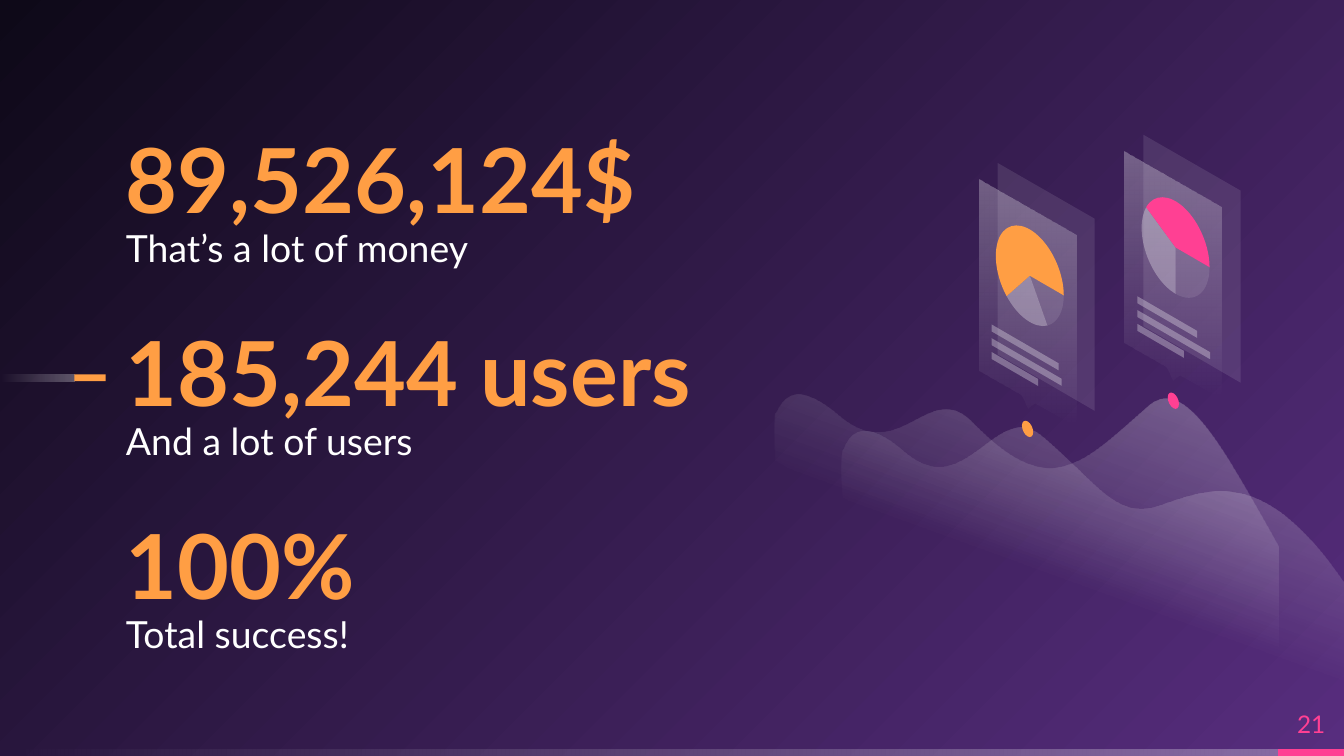
"""Build a slide of three big figures beside isometric chart cards over hills."""
import math

import pptx
import pptx.dml.color
import pptx.enum.shapes
import pptx.enum.text
import pptx.oxml
import pptx.oxml.ns
import pptx.util

Pt = pptx.util.Pt
FONT = "Lato"
COLORS = {
    "white": "FFFFFF",
    "orange": "FF9E44",
    "pink": "FF4093",
    "purple": "572D7E",
    "night": "0E0918",
}
SLOPE = 0.58
SPACE = pptx.oxml.ns.nsdecls("a")
FADE = [(0, "white", 30), (100, "white", 0)]
MIST = [(0, "white", 30), (47, "white", 0), (100, "white", 0)]
FIGURES = [
    ("89,526,124$", "That’s a lot of money"),
    ("185,244 users", "And a lot of users"),
    ("100%", "Total success!"),
]
HILLS = [
    [
        (449.3, 222.5),
        (421.2, 198.7, 417.6, 221, 415.4, 221.8),
        (415.4, 221.8, 414.7, 227.5, 415.4, 247),
        (684.7, 402.5),
        (684.7, 293),
        (653.8, 238.3, 633.6, 200.2, 614.2, 218.2),
        (579.6, 248.4, 562.3, 269.3, 521.3, 226.8),
        (497.5, 201.6, 482.4, 251.3, 449.3, 222.5),
    ],
    [
        (484.6, 241.9),
        (456.5, 217.4, 452.9, 240.5, 451.4, 241.2),
        (451.4, 241.2, 450, 246.2, 451.4, 266.4),
        (720, 422),
        (720, 312.5),
        (676.8, 249.1, 648, 261.4, 622.8, 270),
        (598.3, 279.4, 589.7, 260.6, 558.7, 234),
        (533.5, 211.7, 517.7, 270.7, 484.6, 241.9),
    ],
]
CARDS = [
    {"at": (602.6, 81.2), "hue": "pink", "cuts": (0, 90, 210, 360), "bars": (32, 39, 25)},
    {"at": (524.5, 96.3), "hue": "orange", "cuts": (0, 59, 133, 360), "bars": (36, 37.5, 25)},
]
BACK = [(10, -9), (62, 20.9), (62, 123.8), (10, 93.6)]
FRONT = [(52, 30), (0, 0), (0, 102.4), (22.5, 115.2), (26, 122.5), (29.5, 119.5), (52, 132.5)]


def color(name):
    """Return the named colour."""
    return pptx.dml.color.RGBColor.from_string(COLORS[name])


def swap_fill(parent, stops, way):
    """Replace the solid fill in parent with a gradient of the given stops."""
    marks = "".join(
        f'<a:gs pos="{pos * 1000}"><a:srgbClr val="{COLORS[name]}">'
        f'<a:alpha val="{alpha * 1000}"/></a:srgbClr></a:gs>'
        for pos, name, alpha in stops
    )
    grad = pptx.oxml.parse_xml(
        f'<a:gradFill {SPACE} rotWithShape="1"><a:gsLst>{marks}</a:gsLst>{way}</a:gradFill>')
    solid = parent.find(pptx.oxml.ns.qn("a:solidFill"))
    parent.replace(solid, grad)


def paint(shape, name="white", alpha=100, stops=None, angle=0):
    """Fill a shape with a colour or a linear gradient, without line or shadow."""
    shape.shadow.inherit = False
    shape.line.fill.background()
    shape.fill.solid()
    shape.fill.fore_color.rgb = color(name)
    if stops:
        swap_fill(shape._element.spPr, stops, f'<a:lin ang="{angle * 60000}" scaled="0"/>')
    elif alpha < 100:
        tint = shape._element.spPr.find(".//" + pptx.oxml.ns.qn("a:srgbClr"))
        tint.append(pptx.oxml.parse_xml(f'<a:alpha {SPACE} val="{alpha * 1000}"/>'))


def add_bar(slide, left, top, width, height, **look):
    """Add a painted rectangle."""
    kind = pptx.enum.shapes.MSO_SHAPE.RECTANGLE
    paint(slide.shapes.add_shape(kind, Pt(left), Pt(top), Pt(width), Pt(height)), **look)


def add_text(slide, box, text, size, name, bold=False, middle=True,
             center=False, lead=None, after=0):
    """Add a text box holding one run."""
    frame = slide.shapes.add_textbox(*[Pt(v) for v in box]).text_frame
    frame.word_wrap = True
    frame.margin_left = frame.margin_right = frame.margin_top = frame.margin_bottom = 0
    anchor = pptx.enum.text.MSO_ANCHOR
    frame.vertical_anchor = anchor.MIDDLE if middle else anchor.TOP
    para = frame.paragraphs[0]
    align = pptx.enum.text.PP_ALIGN
    para.alignment = align.CENTER if center else align.LEFT
    para.space_after = Pt(after)
    if lead:
        para.line_spacing = lead
    run = para.add_run()
    run.text = text
    run.font.name = FONT
    run.font.size = Pt(size)
    run.font.bold = bold
    run.font.color.rgb = color(name)


def trace(parts, steps=24):
    """Turn line ends and cubic curves into points that give their extent."""
    points = [parts[0]]
    for part in parts[1:]:
        if len(part) == 2:
            points.append(part)
            continue
        knots = [points[-1], part[:2], part[2:4], part[4:]]
        for step in range(1, steps + 1):
            t = step / steps
            loads = [(1 - t) ** 3, 3 * t * (1 - t) ** 2, 3 * t * t * (1 - t), t ** 3]
            points.append(tuple(
                sum(w * k[axis] for w, k in zip(loads, knots)) for axis in (0, 1)))
    return points


def curve(shape, parts, origin):
    """Give a freeform true cubic curves within its extent."""
    marks = ""
    for index, part in enumerate(parts):
        tag = "cubicBezTo" if len(part) == 6 else "lnTo" if index else "moveTo"
        spots = "".join(
            f'<a:pt x="{Pt(origin[0] + x) - shape.left}" y="{Pt(origin[1] + y) - shape.top}"/>'
            for x, y in zip(part[::2], part[1::2])
        )
        marks += f"<a:{tag}>{spots}</a:{tag}>"
    old = shape._element.spPr.find(".//" + pptx.oxml.ns.qn("a:path"))
    old.getparent().replace(old, pptx.oxml.parse_xml(
        f'<a:path {SPACE} w="{shape.width}" h="{shape.height}">{marks}<a:close/></a:path>'))


def add_form(slide, parts, origin=(0, 0), **look):
    """Add a painted closed outline, its parts measured from origin."""
    spots = [(Pt(origin[0] + x), Pt(origin[1] + y)) for x, y in trace(parts)]
    form = slide.shapes.build_freeform(*spots[0], scale=1.0)
    form.add_line_segments(spots[1:], close=True)
    shape = form.convert_to_shape()
    curve(shape, parts, origin)
    paint(shape, **look)


def arc(x, y, wide, high, start, end):
    """Return the start and cubic curves of a sheared ellipse between two angles."""
    def place(a, b):
        """Map a point of the unit circle onto the ellipse."""
        return (x + wide * a, y + high * b + SLOPE * wide * a)

    count = math.ceil((end - start) / 90)
    turn = math.radians(end - start) / count
    pull = 4 / 3 * math.tan(turn / 4)
    first = math.radians(start)
    parts = [place(math.cos(first), math.sin(first))]
    for step in range(count):
        s, e = first + step * turn, first + (step + 1) * turn
        parts.append(
            place(math.cos(s) - pull * math.sin(s), math.sin(s) + pull * math.cos(s))
            + place(math.cos(e) + pull * math.sin(e), math.sin(e) - pull * math.cos(e))
            + place(math.cos(e), math.sin(e))
        )
    return parts


def add_card(slide, at, hue, cuts, bars):
    """Add a marker dot and its card with panels, pie and text bars."""
    add_form(slide, arc(26, 133.5, 3, 4, 0, 360), at, name=hue)
    add_form(slide, BACK, at, alpha=10)
    add_form(slide, FRONT, at, stops=FADE, angle=90)
    looks = [{"alpha": 10}, {"alpha": 30}, {"name": hue}]
    for start, end, look in zip(cuts, cuts[1:], looks):
        add_form(slide, [(27.2, 51.4)] + arc(27.2, 51.4, 18.2, 24.8, start, end), at, **look)
    for row, width in enumerate(bars):
        x, y, drop = 6.7, 77.5 + 7.4 * row, SLOPE * width
        ends = [(x, y), (x + width, y + drop), (x + width, y + drop + 3.75), (x, y + 3.75)]
        add_form(slide, ends, at, alpha=30)


def main():
    """Build and save the slide."""
    deck = pptx.Presentation()
    deck.slide_width, deck.slide_height = Pt(720), Pt(405)
    slide = deck.slides.add_slide(deck.slide_layouts[6])
    slide.background.fill.solid()
    swap_fill(
        slide._element.find(".//" + pptx.oxml.ns.qn("p:bgPr")),
        [(0, "purple", 100), (100, "night", 100)],
        '<a:path path="circle"><a:fillToRect l="100000" t="100000"/></a:path>',
    )
    add_bar(slide, 0, 401.3, 687, 3.7, stops=FADE, angle=180)
    add_bar(slide, 684.7, 401.3, 35.3, 3.7, name="pink")
    add_bar(slide, 0, 200.6, 40, 3.6, stops=FADE, angle=180)
    add_bar(slide, 39.8, 200.6, 16.8, 3.6, name="orange")
    for row, (figure, note) in enumerate(FIGURES):
        top = 63.5 + 103.5 * row
        add_text(slide, (67.5, top, 340, 70.5), figure, 48, "orange", bold=True, lead=0.9)
        add_text(slide, (67.5, top + 53.3, 340, 36.7), note, 20, "white",
                 middle=False, lead=1.15, after=8)
    add_text(slide, (684.7, 374, 35.3, 27.4), "21", 13, "pink", center=True)
    for hill in HILLS:
        add_form(slide, trace(hill[:1]) + hill[1:], stops=MIST, angle=110)
    for card in CARDS:
        add_card(slide, **card)
    deck.save("out.pptx")


if __name__ == "__main__":
    main()
